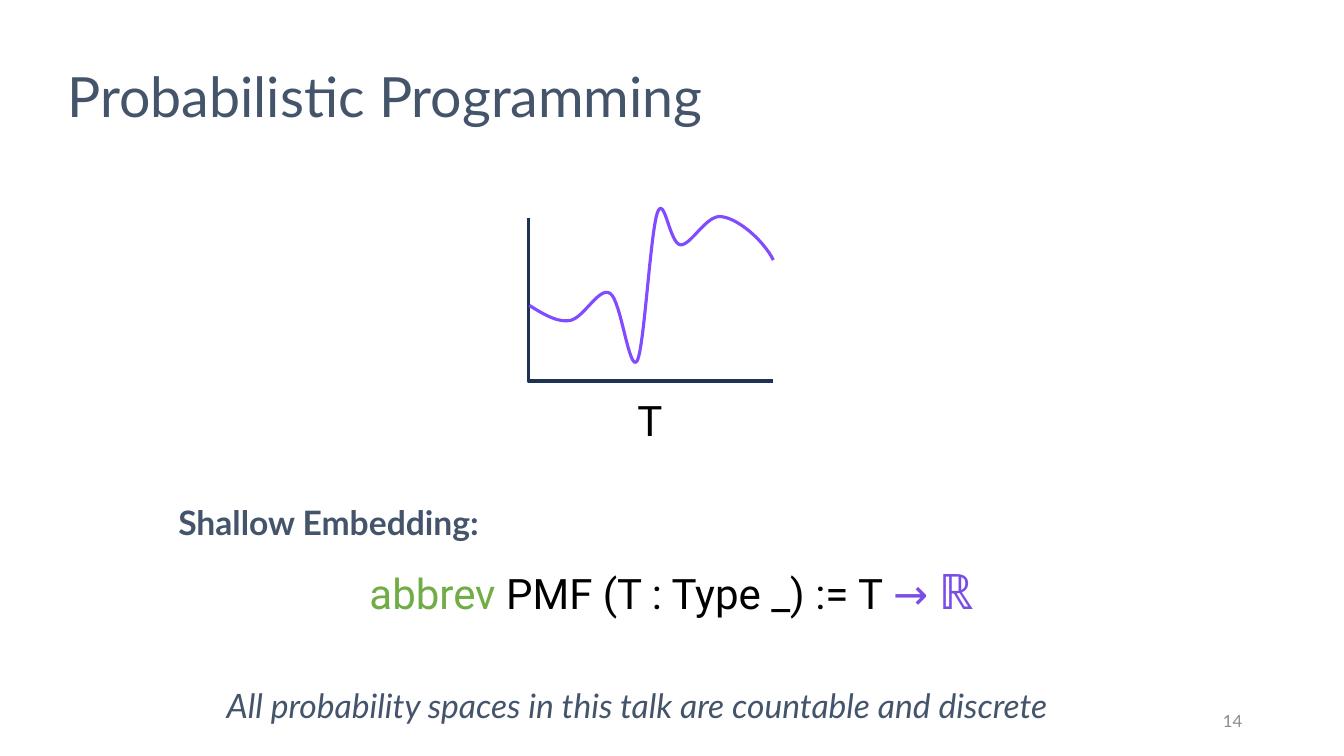
import pptx
import pptx.util
import pptx.dml.color
import pptx.enum.text
from pptx.util import Inches

COLORS = {
    "slate": "44546A",
    "axis": "1E3256",
    "curve": "814BFF",
    "keyword": "70AD47",
    "code": "000000",
    "real": "7A4DE7",
    "number": "8C8C8C",
}
ALIGN = pptx.enum.text.PP_ALIGN
ANCHOR = pptx.enum.text.MSO_ANCHOR

AXES = [(5.24, 2.16), (5.24, 3.78), (7.67, 3.78)]
CURVE_START = (5.25, 3.03)
# Each segment: two control points and an end point
CURVE_SEGMENTS = [
    ((5.38, 3.11), (5.52, 3.2), (5.65, 3.18)),
    ((5.79, 3.16), (5.94, 2.84), (6.05, 2.91)),
    ((6.16, 2.97), (6.24, 3.71), (6.32, 3.58)),
    ((6.39, 3.45), (6.45, 2.31), (6.52, 2.11)),
    ((6.59, 1.92), (6.64, 2.42), (6.75, 2.43)),
    ((6.86, 2.43), (7.01, 2.12), (7.16, 2.15)),
    ((7.32, 2.17), (7.57, 2.38), (7.67, 2.58)),
]
STEPS = 16


def rgb(color):
    return pptx.dml.color.RGBColor.from_string(COLORS[color])


def style_font(font, size, color, name="Lato"):
    font.name = name
    font.size = pptx.util.Pt(size)
    font.color.rgb = rgb(color)


def add_text(slide, box, text, size, color, name="Lato", align=ALIGN.LEFT, anchor=ANCHOR.TOP):
    """Add a one-paragraph text box and return its paragraph."""
    frame = slide.shapes.add_textbox(*map(Inches, box)).text_frame
    frame.word_wrap = True
    frame.vertical_anchor = anchor
    paragraph = frame.paragraphs[0]
    paragraph.text = text
    paragraph.alignment = align
    style_font(paragraph.font, size, color, name)
    return paragraph


def add_title(slide, text):
    title = slide.shapes.title
    title.left, title.top, title.width, title.height = map(Inches, (0.57, 0.66, 12, 0.65))
    frame = title.text_frame
    frame.text = text
    frame.auto_size = pptx.enum.text.MSO_AUTO_SIZE.NONE
    frame.vertical_anchor = ANCHOR.MIDDLE
    paragraph = frame.paragraphs[0]
    paragraph.alignment = ALIGN.LEFT
    paragraph.line_spacing = 0.9
    style_font(paragraph.font, 39.6, "slate")


def add_path(slide, points, color):
    """Draw an open, unfilled line through points given in inches."""
    start, *rest = [(Inches(x), Inches(y)) for x, y in points]
    builder = slide.shapes.build_freeform(*start)
    builder.add_line_segments(rest, close=False)
    shape = builder.convert_to_shape()
    shape.shadow.inherit = False
    shape.fill.background()
    shape.line.color.rgb = rgb(color)
    shape.line.width = pptx.util.Pt(2.25)


def smooth_points(start, segments):
    """Sample a chain of cubic Bezier segments."""
    points = [start]
    for control_1, control_2, end in segments:
        corners = (start, control_1, control_2, end)
        for step in range(1, STEPS + 1):
            t = step / STEPS
            weights = ((1 - t) ** 3, 3 * t * (1 - t) ** 2, 3 * t ** 2 * (1 - t), t ** 3)
            points.append(tuple(
                sum(weight * corner[axis] for weight, corner in zip(weights, corners))
                for axis in (0, 1)
            ))
        start = end
    return points


def add_definition(slide):
    paragraph = add_text(slide, (2.69, 5.51, 7.94, 0.69), "", 30, "code", "Roboto", ALIGN.CENTER)
    for text, size, color, name in (
        ("abbrev", 30, "keyword", "Roboto"),
        (" PMF (T : Type _) := T ", 30, "code", "Roboto"),
        ("→ ", 30, "real", "Roboto"),
        ("ℝ", 35, "real", "Lato"),
    ):
        run = paragraph.add_run()
        run.text = text
        style_font(run.font, size, color, name)


def main():
    presentation = pptx.Presentation()
    presentation.slide_width = Inches(13.33)
    presentation.slide_height = Inches(7.5)
    slide = presentation.slides.add_slide(presentation.slide_layouts.get_by_name("Title Only"))

    add_title(slide, "Probabilistic Programming")
    add_path(slide, AXES, "axis")
    add_path(slide, smooth_points(CURVE_START, CURVE_SEGMENTS), "curve")
    add_text(slide, (5.55, 3.86, 1.79, 0.61), "T", 30, "code", "Roboto", ALIGN.CENTER)

    heading = add_text(slide, (1.67, 4.53, 4.84, 0.8), "Shallow Embedding:", 24, "slate")
    heading.line_spacing = 2.0
    heading.font.bold = True
    add_definition(slide)
    remark = add_text(slide, (2.15, 6.75, 9.2, 0.5),
                      "All probability spaces in this talk are countable and discrete", 24, "slate")
    remark.font.italic = True
    add_text(slide, (9.42, 6.95, 3, 0.4), "14", 12, "number",
             align=ALIGN.RIGHT, anchor=ANCHOR.MIDDLE)

    presentation.save("out.pptx")


if __name__ == "__main__":
    main()
